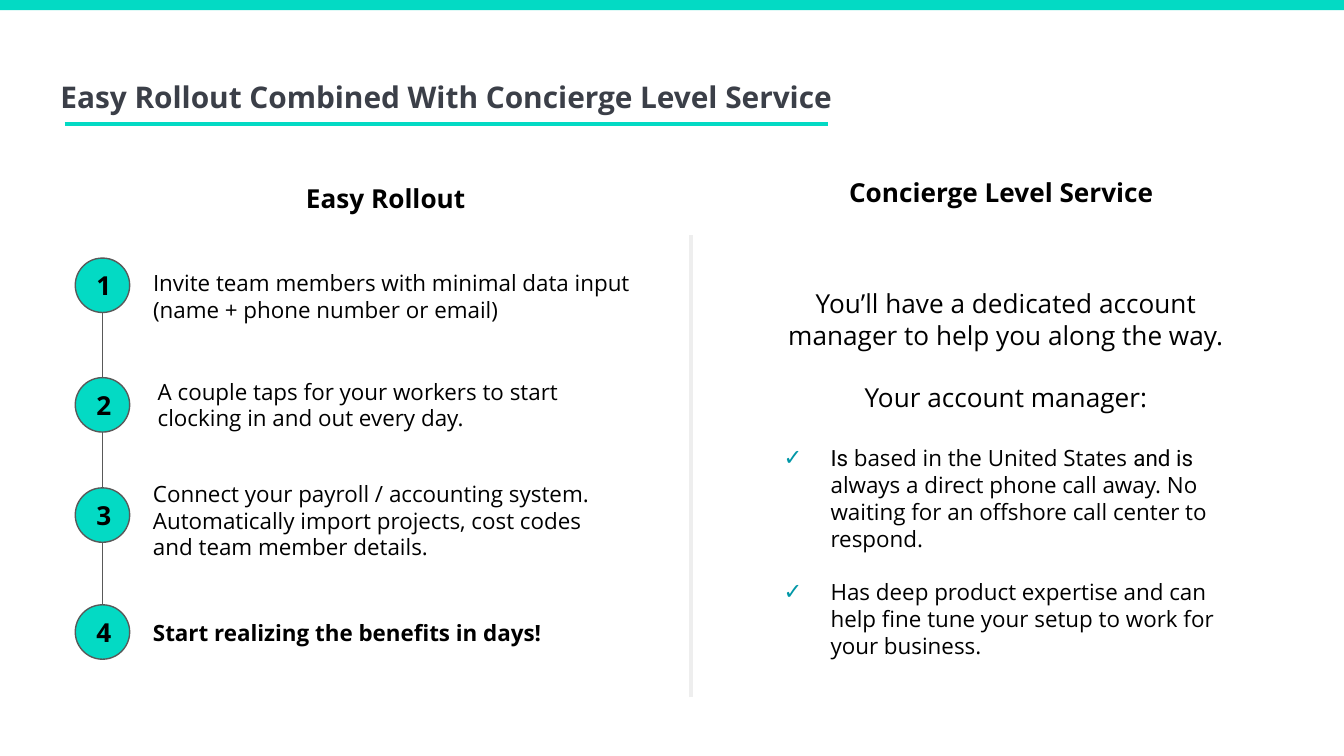
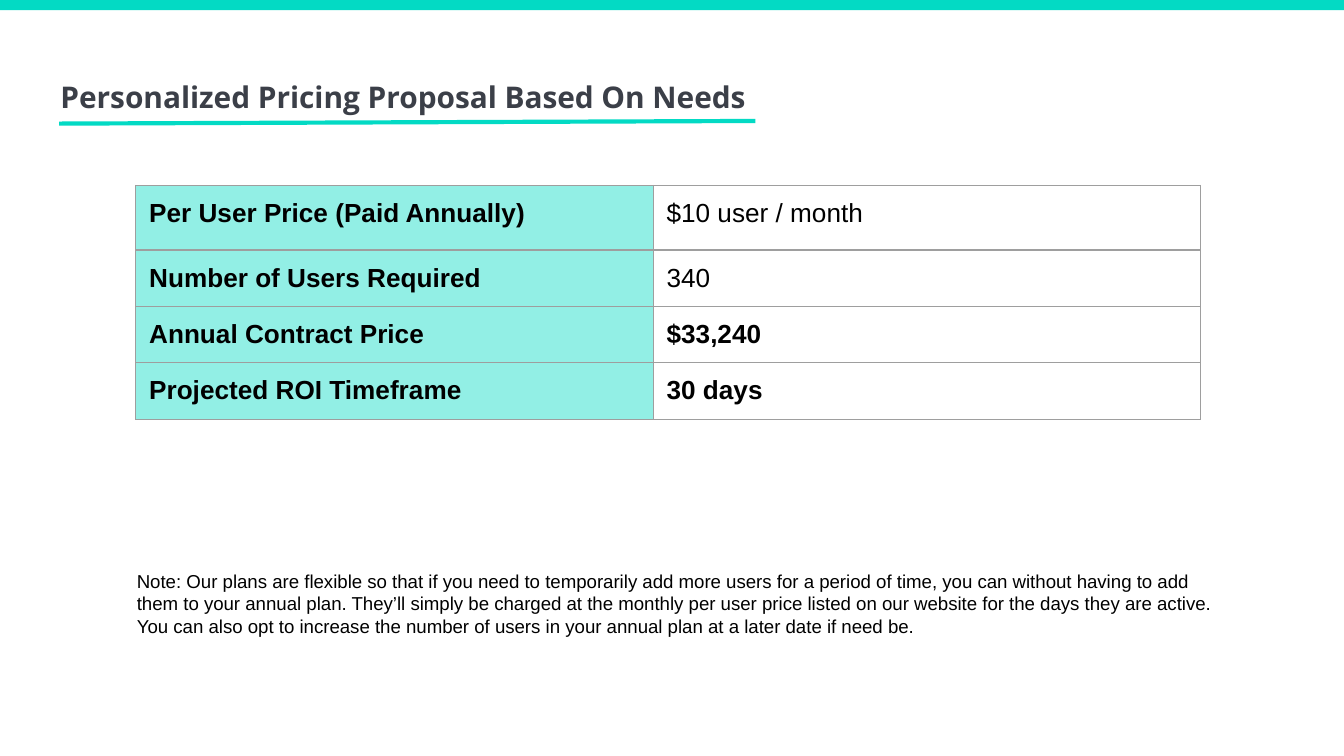
"""Build the rollout and pricing slides on a grid of tenth-inch columns and rows."""
from itertools import pairwise
from typing import NamedTuple

from lxml.etree import SubElement
from pptx import Presentation
from pptx.dml.color import RGBColor
from pptx.enum.shapes import MSO_CONNECTOR as Link, MSO_SHAPE as Form
from pptx.enum.text import MSO_ANCHOR as Anchor, MSO_AUTO_SIZE as Fit, PP_ALIGN as Align
from pptx.oxml import parse_xml
from pptx.oxml.ns import nsdecls, qn
from pptx.slide import Slide
from pptx.util import Emu, Inches, Pt

TEAL = RGBColor(0x03, 0xDA, 0xC4)
SLATE = RGBColor(0x3B, 0x3F, 0x48)
BLACK = RGBColor(0, 0, 0)
GRAY = RGBColor(0x59, 0x59, 0x59)
PALE = RGBColor(0xEE, 0xEE, 0xEE)
RULE = RGBColor(0x9E, 0x9E, 0x9E)
TICK = RGBColor(0x00, 0x97, 0xA7)
SANS, ALT, PLAIN = "Open Sans", "Roboto", "Arial"
COLS, ROWS = 100, 56.25
DOT, DOT_X = 4.05, 5.6


class Box(NamedTuple):
    x: float
    y: float
    w: float
    h: float


class Style(NamedTuple):
    size: float
    bold: bool = False
    font: str = SANS
    color: RGBColor = BLACK


class Step(NamedTuple):
    top: float
    note: Box
    text: str
    bold: bool = False


class Para(NamedTuple):
    runs: list[tuple[str, str]]
    size: float
    gap: float = 0
    tick: bool = False


HEAD = Style(14, True)
STEPS = [
    Step(19.2, Box(10.4, 19, 38.1, 6.1),
         "Invite team members with minimal data input (name + phone number or email)"),
    Step(28.1, Box(10.75, 27.1, 35, 6.1),
         "A couple taps for your workers to start clocking in and out every day."),
    Step(36.3, Box(10.4, 34.7, 35, 8.1),
         "Connect your payroll / accounting system. Automatically import projects, "
         "cost codes and team member details."),
    Step(45, Box(10.4, 45.1, 35, 4), "Start realizing the benefits in days!", True),
]
HEADS = [
    (Box(5.1, 12.6, 47.2, 4.4), "Easy Rollout"),
    (Box(50.9, 12.1, 47.2, 4.4), "Concierge Level Service"),
]
PARAS = [
    Para([("You’ll have a dedicated account manager to help you along the way.", SANS)], 14),
    Para([("Your account manager:", SANS)], 14, 16.7),
    Para([("Is ", ALT), ("based in the United States ", SANS), ("and is ", ALT),
          ("always a direct phone call away. No waiting for an offshore call center "
           "to respond.", SANS)], 12, 16.7, True),
    Para([("Has deep product expertise and can help fine tune your setup to work for "
           "your business.", SANS)], 12, 14.4, True),
]
PRICES = [
    ("Per User Price (Paid Annually)", "$10 user / month", False),
    ("Number of Users Required", "340", False),
    ("Annual Contract Price", "$33,240", True),
    ("Projected ROI Timeframe", "30 days", True),
]
NOTE = ("Note: Our plans are flexible so that if you need to temporarily add more users "
        "for a period of time, you can without having to add them to your annual plan. "
        "They’ll simply be charged at the monthly per user price listed on our website "
        "for the days they are active. You can also opt to increase the number of users "
        "in your annual plan at a later date if need be.")


def grid(count: float) -> Emu:
    """Turn grid steps into a length."""
    return Inches(count / 10)


def spot(box: Box) -> list[Emu]:
    """Turn a box into left, top, width and height."""
    return [grid(side) for side in box]


def place(shape, box: Box) -> None:
    """Move a shape onto its box."""
    shape.left, shape.top, shape.width, shape.height = spot(box)


def dress(run, style: Style) -> None:
    """Give a run its font."""
    font = run.font
    font.name, font.size, font.bold = style.font, Pt(style.size), style.bold
    font.color.rgb = style.color


def pad(frame, anchor: Anchor = Anchor.TOP) -> None:
    """Give a text frame equal insets and wrapping."""
    frame.margin_left = frame.margin_right = grid(1)
    frame.margin_top = frame.margin_bottom = grid(1)
    frame.word_wrap, frame.auto_size = True, Fit.NONE
    frame.vertical_anchor = anchor


def write(frame, text: str, style: Style, align: Align = Align.LEFT) -> None:
    """Set the text of a frame and format it."""
    frame.text = text
    para = frame.paragraphs[0]
    para.alignment = align
    dress(para.runs[0], style)


def label(slide: Slide, box: Box, text: str, style: Style, align: Align = Align.LEFT) -> None:
    """Add a text box."""
    frame = slide.shapes.add_textbox(*spot(box)).text_frame
    pad(frame)
    write(frame, text, style, align)


def line(slide: Slide, x: float, y: float, to_x: float, to_y: float,
         color: RGBColor, width: float) -> None:
    """Draw a straight line."""
    link = slide.shapes.add_connector(Link.STRAIGHT, grid(x), grid(y), grid(to_x), grid(to_y))
    link.line.color.rgb, link.line.width = color, Pt(width)
    SubElement(link.element.spPr, qn("a:effectLst"))


def solid(slide: Slide, form: Form, box: Box):
    """Add a teal shape without outline."""
    shape = slide.shapes.add_shape(form, *spot(box))
    shape.shadow.inherit = False
    shape.fill.solid()
    shape.fill.fore_color.rgb = TEAL
    shape.line.fill.background()
    return shape


def start(deck, layout: int, text: str, rule: Box) -> Slide:
    """Add a slide with band, title and rule, given as start and end points."""
    slide = deck.slides.add_slide(deck.slide_layouts[layout])
    solid(slide, Form.RECTANGLE, Box(0, 0, COLS, 0.75))
    title = slide.shapes.title
    place(title, Box(3.5, 4.6, 93.2, 6.5))
    pad(title.text_frame)
    write(title.text_frame, text, Style(16, True, SANS, SLATE))
    para = title.text_frame.paragraphs[0]
    para.line_spacing, para.space_after = 1.09, Pt(1.4)
    line(slide, *rule, TEAL, 2.25)
    return slide


def mark(para, tick: bool) -> None:
    """Set a tick bullet with hanging indent, or no bullet."""
    props = para._p.get_or_add_pPr()
    left, hang = (grid(5), -grid(3.5)) if tick else (0, 0)
    props.set("marL", str(left))
    props.set("indent", str(hang))
    if tick:
        tint = SubElement(props, qn("a:buClr"))
        SubElement(tint, qn("a:srgbClr")).set("val", str(TICK))
        SubElement(props, qn("a:buChar")).set("char", "✓")
    else:
        SubElement(props, qn("a:buNone"))


def fill_body(body) -> None:
    """Write the service list into the body placeholder."""
    place(body, Box(55.8, 20.4, 38.1, 30.6))
    frame = body.text_frame
    pad(frame)
    for i, item in enumerate(PARAS):
        para = frame.paragraphs[0] if i == 0 else frame.add_paragraph()
        para.alignment = Align.LEFT if item.tick else Align.CENTER
        para.space_before, para.space_after = Pt(item.gap), Pt(0)
        mark(para, item.tick)
        for text, font in item.runs:
            run = para.add_run()
            run.text = text
            dress(run, Style(item.size, False, font))


def rollout(deck) -> None:
    """Build the slide of steps and service."""
    slide = start(deck, 1, "Easy Rollout Combined With Concierge Level Service",
                  Box(4.8, 9.2, 61.6, 9.2))
    mid = DOT_X + DOT / 2
    for one, two in pairwise(STEPS):
        line(slide, mid, one.top + DOT, mid, two.top, GRAY, 0.75)
    for i, step in enumerate(STEPS, 1):
        dot = solid(slide, Form.OVAL, Box(DOT_X, step.top, DOT, DOT))
        dot.line.color.rgb, dot.line.width = GRAY, Pt(0.75)
        pad(dot.text_frame, Anchor.MIDDLE)
        write(dot.text_frame, str(i), HEAD, Align.CENTER)
        label(slide, step.note, step.text, Style(12, step.bold))
    line(slide, 51.4, 51.9, 51.4, 17.5, PALE, 2.25)
    for box, text in HEADS:
        label(slide, box, text, HEAD, Align.CENTER)
    fill_body(slide.placeholders[1])


def edge(cell) -> None:
    """Draw the four borders of a cell."""
    props = cell._tc.get_or_add_tcPr()
    for i, side in enumerate("LRTB"):
        props.insert(i, parse_xml(
            f'<a:ln{side} {nsdecls("a")} w="{Pt(0.75)}"><a:solidFill>'
            f'<a:srgbClr val="{RULE}"/></a:solidFill></a:ln{side}>'))


def pricing(deck) -> None:
    """Build the slide of prices."""
    slide = start(deck, 5, "Personalized Pricing Proposal Based On Needs",
                  Box(4.4, 9.2, 56.2, 9))
    wide, high = (38.5, 40.7), (4.8, 4.2, 4.2, 4.2)
    box = Box(10.1, 13.8, sum(wide), sum(high))
    table = slide.shapes.add_table(len(high), len(wide), *spot(box)).table
    table.first_row = table.horz_banding = False
    for col, width in zip(table.columns, wide):
        col.width = grid(width)
    for row, height, (name, value, bold) in zip(table.rows, high, PRICES):
        row.height = grid(height)
        key, cost = row.cells
        for cell, text, heavy in ((key, name, True), (cost, value, bold)):
            cell.margin_left = cell.margin_right = grid(1)
            cell.margin_top = cell.margin_bottom = grid(1)
            write(cell.text_frame, text, Style(14, heavy, PLAIN))
        key.fill.solid()
        key.fill.fore_color.rgb = TEAL
        tint = key._tc.tcPr.find(".//" + qn("a:srgbClr"))
        SubElement(tint, qn("a:alpha")).set("val", "43000")
        cost.fill.background()
        edge(key)
        edge(cost)
    label(slide, Box(9.2, 41.4, 83.6, 7.1), NOTE, Style(10, False, PLAIN))


def main() -> None:
    """Build and save the deck."""
    deck = Presentation()
    deck.slide_width, deck.slide_height = grid(COLS), grid(ROWS)
    rollout(deck)
    pricing(deck)
    deck.save("out.pptx")


if __name__ == "__main__":
    main()
